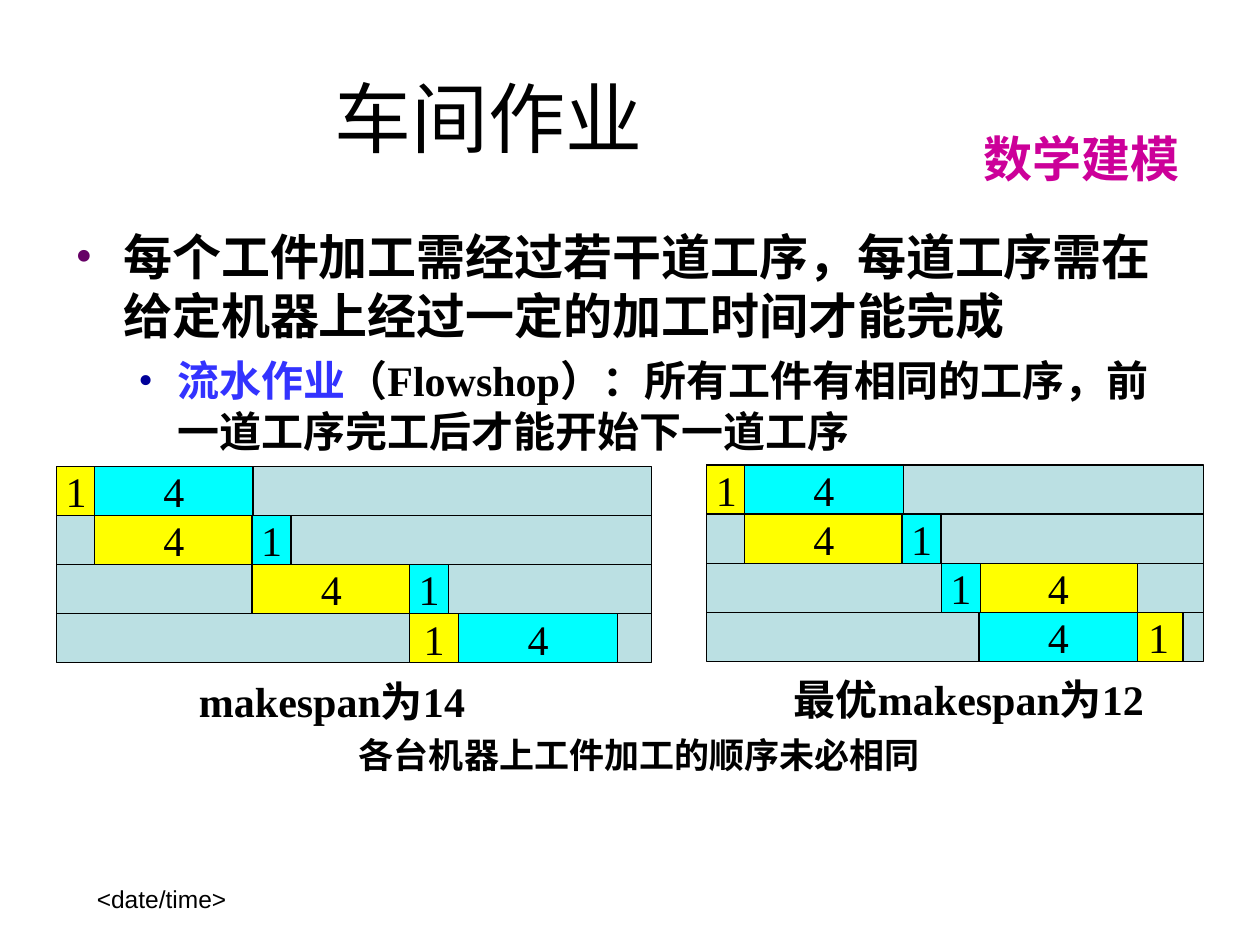
import pptx
import pptx.util
import pptx.dml.color
import pptx.enum.shapes
import pptx.enum.text
import pptx.oxml.ns
from lxml import etree

Inches = pptx.util.Inches
Pt = pptx.util.Pt
qn = pptx.oxml.ns.qn
ALIGN = pptx.enum.text.PP_ALIGN
ANCHOR = pptx.enum.text.MSO_ANCHOR

SERIF = "Times New Roman"
JOB_A, JOB_B = "FFFF00", "00FFFF"
SHORT, LAST, LONG = 0.31, 0.39, 1.26
ROW_H = 0.39


def rgb(value):
    return pptx.dml.color.RGBColor.from_string(value)


def add_run(p, text, size=24, font=SERIF, color="000000", bold=False):
    r = p.add_run()
    r.text = text
    r.font.size = Pt(size)
    r.font.name = font
    r.font.bold = bold
    r.font.color.rgb = rgb(color)
    return r


def add_text(shapes, box, text, align=ALIGN.LEFT, anchor=ANCHOR.TOP, wrap=True, **fmt):
    sp = shapes.add_textbox(*map(Inches, box))
    tf = sp.text_frame
    tf.word_wrap = wrap
    tf.vertical_anchor = anchor
    if not wrap:
        tf.auto_size = pptx.enum.text.MSO_AUTO_SIZE.SHAPE_TO_FIT_TEXT
    p = tf.paragraphs[0]
    p.alignment = align
    add_run(p, text, **fmt)
    return sp


def set_bullet(p, color, margin, hanging):
    pPr = p._p.get_or_add_pPr()
    pPr.set("marL", str(Inches(margin)))
    pPr.set("indent", str(-Inches(hanging)))
    clr = etree.SubElement(pPr, qn("a:buClr"))
    etree.SubElement(clr, qn("a:srgbClr"), val=color)
    etree.SubElement(pPr, qn("a:buFont"), typeface=SERIF)
    etree.SubElement(pPr, qn("a:buChar"), char="•")


def add_rect(shapes, box, color):
    sp = shapes.add_shape(pptx.enum.shapes.MSO_SHAPE.RECTANGLE, *map(Inches, box))
    sp.shadow.inherit = False
    sp.fill.solid()
    sp.fill.fore_color.rgb = rgb(color)
    sp.line.color.rgb = rgb("000000")
    sp.line.width = Pt(0.75)
    return sp


def add_line(shapes, x1, x2, y):
    line = shapes.add_connector(
        pptx.enum.shapes.MSO_CONNECTOR.STRAIGHT, *map(Inches, (x1, y, x2, y)))
    line.line.color.rgb = rgb("000000")
    line.line.width = Pt(0.75)
    etree.SubElement(line._element.spPr, qn("a:effectLst"))
    return line


def add_header(s, box):
    left, top, width, height = box
    add_text(s.shapes, (left, top, 6.75, height), "车间作业", align=ALIGN.CENTER,
             anchor=ANCHOR.MIDDLE, size=44, font="Arial")
    add_text(s.shapes, (left + width - 2.33, top + 0.67, 2.33, 0.52), "数学建模",
             align=ALIGN.CENTER, size=28, font="Arial", color="CC0099", bold=True)


def add_body(s, box):
    sp = s.shapes.add_textbox(*map(Inches, box))
    tf = sp.text_frame
    tf.word_wrap = True
    p = tf.paragraphs[0]
    set_bullet(p, "660066", 0.38, 0.38)
    add_run(p, "每个工件加工需经过若干道工序，每道工序需在给定机器上经过一定的加工时间才能完成",
            size=28, bold=True)
    p = tf.add_paragraph()
    p.level = 1
    set_bullet(p, "000099", 0.81, 0.31)
    p.space_before = Pt(6)
    add_run(p, "流水作业", color="3333FF", bold=True)
    add_run(p, "（Flowshop）：所有工件有相同的工序，前一道工序完工后才能开始下一道工序", bold=True)


def add_schedule(s, box, jobs):
    left, top, width, height = box
    shapes = s.shapes.add_group_shape().shapes
    frame = add_rect(shapes, box, "BBE0E3")
    for i in (1, 2, 3):
        line = add_line(shapes, left, left + width, top + i * height / 4)
        if i == 2:
            line.begin_connect(frame, 1)
            line.end_connect(frame, 3)
    for row, start, length, color in jobs:
        sp = add_rect(shapes, (left + start, top + row * ROW_H, length, ROW_H), color)
        tf = sp.text_frame
        tf.word_wrap = False
        tf.vertical_anchor = ANCHOR.MIDDLE
        p = tf.paragraphs[0]
        p.alignment = ALIGN.CENTER
        add_run(p, "4" if length == LONG else "1")


def add_captions(s, box):
    left, top, width, height = box
    for x, y, w, text in ((0, 0.01, 2.47, "makespan为14"),
                          (width - 3.22, 0, 3.22, "最优makespan为12")):
        add_text(s.shapes, (left + x, top + y, w, 0.5), text,
                 align=ALIGN.CENTER, wrap=False, bold=True)
    add_text(s.shapes, (left + 1.35, top + height - 0.44, 4.65, 0.44),
             "各台机器上工件加工的顺序未必相同", wrap=False, size=20, bold=True)


def add_footer(s, box):
    add_text(s.shapes, box, "<date/time>", size=14, font="Arial")


def main():
    prs = pptx.Presentation()
    prs.slide_width, prs.slide_height = Inches(10), Inches(7.5)
    s = prs.slides.add_slide(prs.slide_layouts[6])

    common = [(0, 0, SHORT, JOB_A), (0, 0.3, LONG, JOB_B),
              (1, 0.3, LONG, JOB_A), (1, 1.55, SHORT, JOB_B)]
    same_order = common + [(2, 1.55, LONG, JOB_A), (2, 2.8, SHORT, JOB_B),
                           (3, 2.8, LAST, JOB_A), (3, 3.19, LONG, JOB_B)]
    best_order = common + [(2, 2.16, LONG, JOB_A), (2, 1.86, SHORT, JOB_B),
                           (3, 3.39, LAST, JOB_A), (3, 2.16, LONG, JOB_B)]

    add_footer(s, (0.67, 6.97, 2.33, 0.52))
    add_header(s, (0.5, 0.3, 9.25, 1.25))
    add_body(s, (0.5, 1.75, 9, 4))
    add_schedule(s, (0.45, 3.7, 4.72, 1.56), same_order)
    add_schedule(s, (5.61, 3.69, 3.94, 1.56), best_order)
    add_captions(s, (1.4, 5.3, 7.9, 0.91))
    prs.save("out.pptx")


if __name__ == "__main__":
    main()
